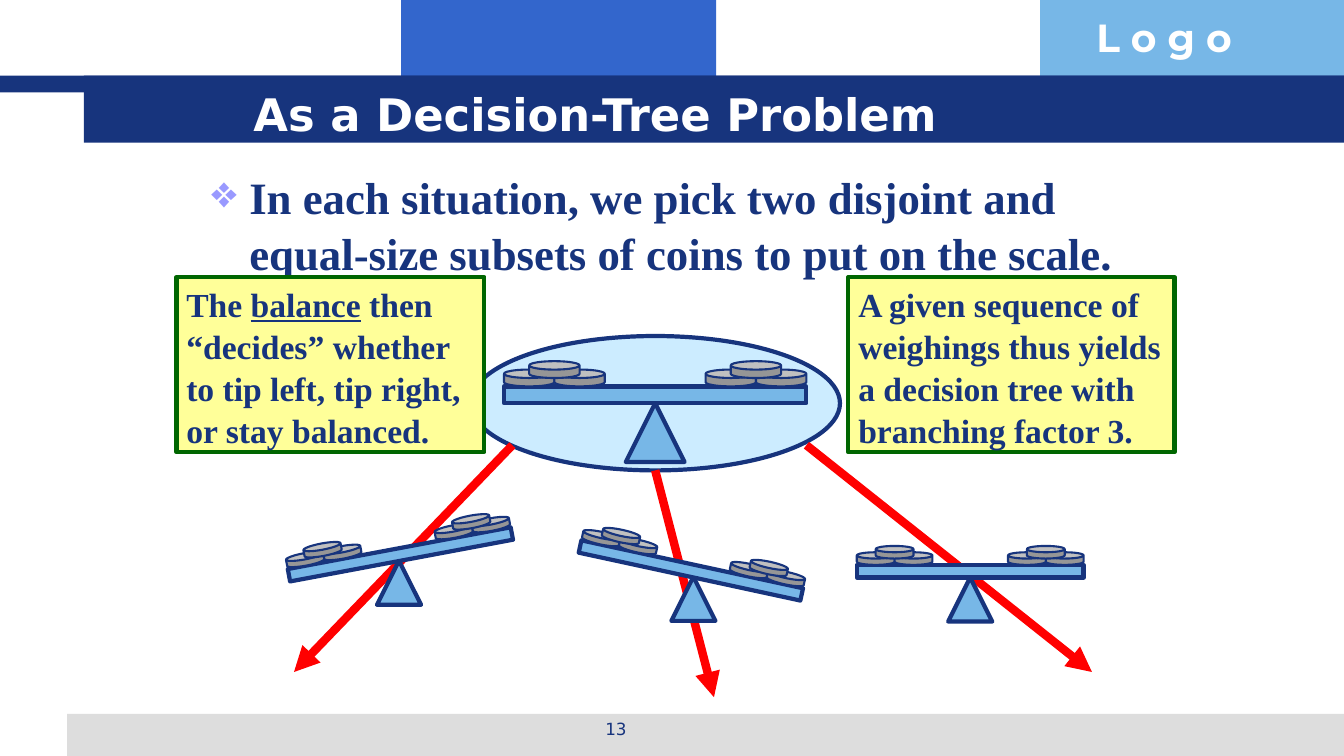
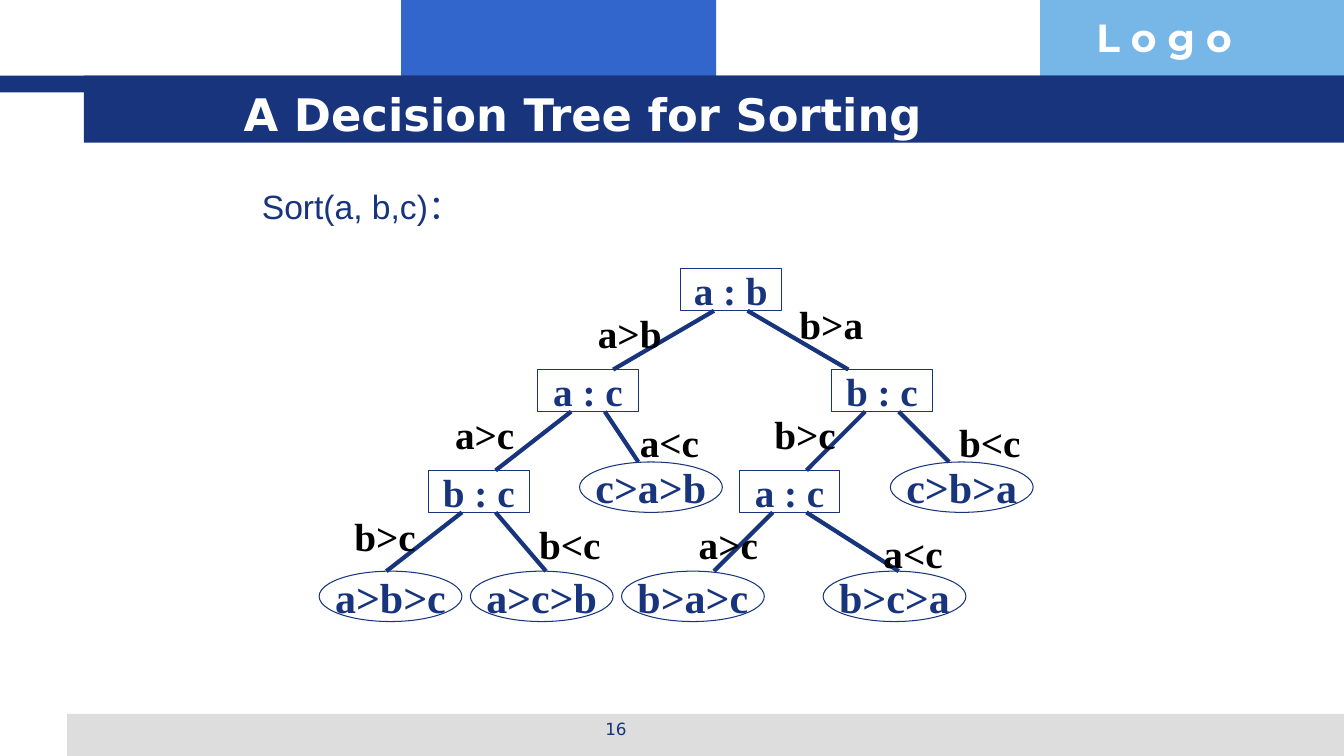
import math
from pptx import Presentation
from pptx.dml.color import RGBColor
from pptx.enum import shapes, text
from pptx.oxml import ns
from pptx.util import Pt
from lxml import etree

COLOURS = {
    "navy": "17347D", "blue": "3366CC", "sky": "77B7E7", "pale": "CCECFF",
    "footer": "DDDDDD", "coin": "969696", "note": "FFFF99", "green": "006600",
    "red": "FF0000", "bullet": "9999FF", "white": "FFFFFF", "black": "000000",
}
SERIF = "Times New Roman"
SANS = "DejaVu Sans"
SHAPE = shapes.MSO_SHAPE
SERIF_SPACING = 1.04
NODE_SIZE = (72, 30)
LEAF_SIZE = (102, 36)


def colour(name):
    return RGBColor.from_string(COLOURS[name])


def add_element(parent, tag, **attributes):
    return etree.SubElement(parent, ns.qn(tag), attributes)


def style_font(font, size, name, ink, bold=True):
    font.size = Pt(size)
    font.name = name
    font.bold = bold
    font.color.rgb = colour(ink)


def add_shape(page, kind, left, top, width, height, fill=None, line=None, weight=3):
    shape = page.shapes.add_shape(kind, Pt(left), Pt(top), Pt(width), Pt(height))
    shape.shadow.inherit = False
    if fill:
        shape.fill.solid()
        shape.fill.fore_color.rgb = colour(fill)
    else:
        shape.fill.background()
    if line:
        shape.line.color.rgb = colour(line)
        shape.line.width = Pt(weight)
    else:
        shape.line.fill.background()
    return shape


def add_text(page, words, left, top, width, height, size, name, ink, bold=True):
    box = page.shapes.add_textbox(Pt(left), Pt(top), Pt(width), Pt(height))
    box.text_frame.word_wrap = True
    box.text_frame.text = words
    para = box.text_frame.paragraphs[0]
    style_font(para.runs[0].font, size, name, ink, bold)
    return box


def add_line(page, start, end, ink, weight, arrow=False):
    line = page.shapes.add_connector(
        shapes.MSO_CONNECTOR.STRAIGHT, *(Pt(value) for value in (*start, *end)))
    line.line.color.rgb = colour(ink)
    line.line.width = Pt(weight)
    if arrow:
        add_element(line.line._get_or_add_ln(), "a:tailEnd", type="triangle")
    add_element(line._element.spPr, "a:effectLst")
    return line


def add_frame(page, title, title_box, number):
    bands = [
        (286.5, 0, 225, 66, "blue"),
        (743, 0, 217, 66, "sky"),
        (48, 510, 912, 30, "footer"),
        (0, 54, 960, 12, "navy"),
        (60, 54, 900, 48, "navy"),
    ]
    for *place, fill in bands:
        add_shape(page, SHAPE.RECTANGLE, *place, fill)
    add_text(page, "L o g o", 776, 6, 185, 41, 28, "Montserrat", "white")
    footer = add_text(page, number, 328, 510, 224, 25, 12, SANS, "navy", False)
    footer.text_frame.paragraphs[0].alignment = text.PP_ALIGN.CENTER
    heading = add_text(page, title, *title_box, 32, SANS, "white")
    heading.text_frame.vertical_anchor = text.MSO_ANCHOR.MIDDLE


def add_bullet(page, words, left, top, width, height):
    box = add_text(page, words, left, top, width, height, 32, SERIF, "navy")
    para = box.text_frame.paragraphs[0]
    para.line_spacing = SERIF_SPACING
    settings = para._p.get_or_add_pPr()
    settings.set("marL", str(Pt(27)))
    settings.set("indent", str(Pt(-27)))
    tint = add_element(settings, "a:buClr")
    add_element(tint, "a:srgbClr", val=COLOURS["bullet"])
    add_element(settings, "a:buChar", char="❖")


def add_note(page, lines, left, top, width, height):
    box = add_shape(page, SHAPE.RECTANGLE, left, top, width, height, "note", "green")
    frame = box.text_frame
    frame.word_wrap = False
    frame.vertical_anchor = text.MSO_ANCHOR.TOP
    para = frame.paragraphs[0]
    para.alignment = text.PP_ALIGN.LEFT
    para.line_spacing = SERIF_SPACING
    for row, line in enumerate(lines):
        if row:
            para.add_line_break()
        for turn, part in enumerate(line.split("_")):
            span = para.add_run()
            span.text = part
            style_font(span.font, 24, SERIF, "navy")
            span.font.underline = turn % 2 == 1


def add_balance(page, centre_x, centre_y, unit, angle=0, pivot_shift=0):
    turn = math.radians(angle)

    def place(kind, across, down, width, fill, weight):
        x = centre_x + unit * (across * math.cos(turn) - down * math.sin(turn))
        y = centre_y + unit * (across * math.sin(turn) + down * math.cos(turn))
        part = add_shape(page, kind, x - width * unit / 2, y - unit / 2,
                         width * unit, unit, fill, "navy", weight)
        part.rotation = angle
        return part

    add_shape(page, SHAPE.ISOSCELES_TRIANGLE,
              centre_x + pivot_shift - 1.75 * unit, centre_y + unit / 2,
              3.5 * unit, 3.5 * unit, "sky", "navy")
    place(SHAPE.RECTANGLE, 0, 0, 18, "sky", 3)
    for pile in (-6, 6):
        for across, down in ((-1.5, -1), (1.5, -1), (0, -1.5)):
            coin = place(SHAPE.CAN, pile + across, down, 3, "coin", 1.5)
            coin.adjustments[0] = 0.5


def add_weighing(page, left, top):
    add_shape(page, SHAPE.OVAL, left, top, 264, 96, "pale", "navy")
    add_balance(page, left + 132, top + 42, 12)
    for start, end in (((240, 78), (444, 240)),
                       ((30, 78), (-126, 240)),
                       ((132, 96), (174, 258))):
        add_line(page, (left + start[0], top + start[1]),
                 (left + end[0], top + end[1]), "red", 6, arrow=True)


def add_node(page, words, left, top, leaf):
    kind, size = (SHAPE.OVAL, LEAF_SIZE) if leaf else (SHAPE.RECTANGLE, NODE_SIZE)
    node = add_shape(page, kind, left, top, *size, None, "navy", 0.75)
    frame = node.text_frame
    frame.text = words
    frame.word_wrap = False
    frame.vertical_anchor = text.MSO_ANCHOR.MIDDLE
    para = frame.paragraphs[0]
    para.alignment = text.PP_ALIGN.CENTER
    style_font(para.runs[0].font, 30 if leaf else 28, SERIF, "navy")


def add_tree(page, left, top):
    nodes = {
        "root": ("a : b", 258, 0),
        "left": ("a : c", 156, 72),
        "right": ("b : c", 366, 72),
        "left low": ("b : c", 78, 144),
        "right low": ("a : c", 300, 144),
        "cab": ("c>a>b", 186, 138),
        "cba": ("c>b>a", 408, 138),
        "abc": ("a>b>c", 0, 216),
        "acb": ("a>c>b", 108, 216),
        "bac": ("b>a>c", 216, 216),
        "bca": ("b>c>a", 360, 216),
    }
    branches = [
        ("root", "left", 54, "a>b", 192, 24),
        ("root", "right", 12, "b>a", 336, 18),
        ("left", "left low", 48, "a>c", 90, 96),
        ("left", "cab", 42, "a<c", 222, 102),
        ("right", "right low", 48, "b>c", 318, 96),
        ("right", "cba", 42, "b<c", 450, 102),
        ("left low", "abc", 48, "b>c", 18, 169),
        ("left low", "acb", 54, "b<c", 150, 175),
        ("right low", "bac", 66, "a>c", 264, 175),
        ("right low", "bca", 54, "a<c", 396, 181),
    ]
    parents = {branch[0] for branch in branches}
    for name, (words, x, y) in nodes.items():
        add_node(page, words, left + x, top + y, name not in parents)
    for order, (parent, child, landing, *_) in enumerate(branches):
        _, parent_x, parent_y = nodes[parent]
        _, child_x, child_y = nodes[child]
        leaving = NODE_SIZE[0] * (1 + order % 2) / 3
        add_line(page, (left + parent_x + leaving, top + parent_y + NODE_SIZE[1]),
                 (left + child_x + landing, top + child_y), "navy", 3)
    for *_, words, x, y in branches:
        label = add_text(page, words, left + x, top + y, 72, 41, 28, SERIF, "black")
        label.text_frame.paragraphs[0].line_spacing = SERIF_SPACING


def build_coin_slide(page):
    add_frame(page, "As a Decision-Tree Problem", (174, 36, 612, 90), "13")
    add_bullet(page, "In each situation, we pick two disjoint and equal-size "
               "subsets of coins to put on the scale.", 144, 116, 678, 388)
    add_weighing(page, 336, 240)
    add_note(page, ["The _balance_ then", "“decides” whether",
                    "to tip left, tip right,", "or stay balanced."],
             126, 198, 220, 125)
    add_note(page, ["A given sequence of", "weighings thus yields",
                    "a decision tree with", "branching factor 3."],
             606, 198, 233, 125)
    add_balance(page, 493.5, 407.5, 9, 12.2, 1.8)
    add_balance(page, 693, 408, 9)
    add_balance(page, 286, 396, 9, -10.6, -1)


def build_sorting_slide(page):
    add_frame(page, "A Decision Tree for Sorting", (167, 58.5, 614, 45), "16")
    add_tree(page, 228, 192)
    add_text(page, "Sort(a, b,c)：", 180, 129, 288, 36, 24, "Arial", "navy", False)


def main():
    deck = Presentation()
    deck.slide_width = Pt(960)
    deck.slide_height = Pt(540)
    for build in (build_coin_slide, build_sorting_slide):
        build(deck.slides.add_slide(deck.slide_layouts[6]))
    deck.save("out.pptx")


if __name__ == "__main__":
    main()
